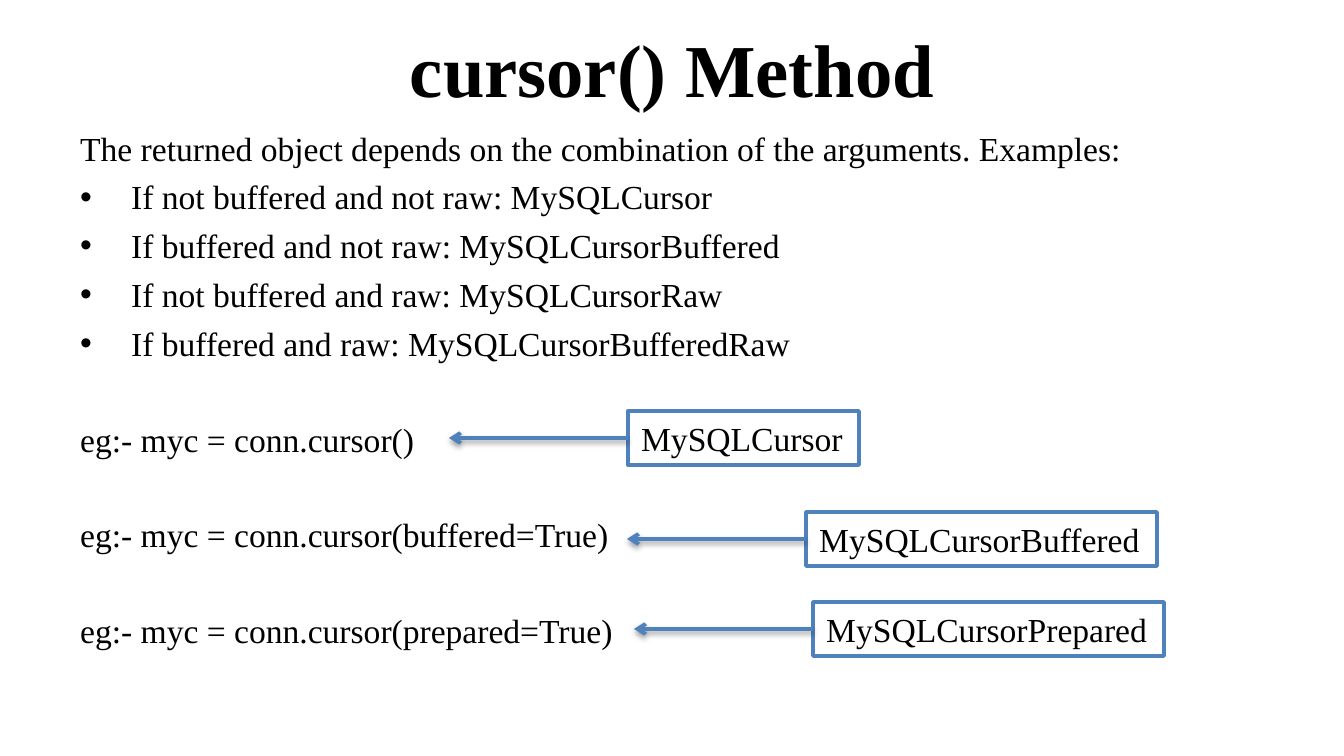
import pptx
import pptx.dml.color
import pptx.enum.shapes
import pptx.enum.text
import pptx.oxml
import pptx.oxml.ns
import pptx.util

BLACK = pptx.dml.color.RGBColor(0x00, 0x00, 0x00)
WHITE = pptx.dml.color.RGBColor(0xFF, 0xFF, 0xFF)
BLUE = pptx.dml.color.RGBColor(0x4F, 0x81, 0xBD)

EMU_PER_PX = 914400 / 134.4
TITLE_ONLY = 5
LEFT_SIDE = 1
ARROW_LENGTH = 179
BULLET_INDENT = 51
LINE_GAP = 4.5
EXAMPLE_GAP = 29.8

INTRODUCTION = "The returned object depends on the combination of the arguments. Examples:"
CASES = [
    "If not buffered and not raw: MySQLCursor",
    "If buffered and not raw: MySQLCursorBuffered",
    "If not buffered and raw: MySQLCursorRaw",
    "If buffered and raw: MySQLCursorBufferedRaw",
]
EXAMPLES = [
    "eg:- myc = conn.cursor()",
    "eg:- myc = conn.cursor(buffered=True)",
    "eg:- myc = conn.cursor(prepared=True)",
]
# Class name, left, top, width
CURSOR_CLASSES = [
    ("MySQLCursor", 628, 411, 231),
    ("MySQLCursorBuffered", 806, 512, 351),
    ("MySQLCursorPrepared", 813, 602, 351),
]


def px(length):
    return pptx.util.Emu(round(length * EMU_PER_PX))


def drawing_element(content):
    return pptx.oxml.parse_xml(content.replace(" ", f" {pptx.oxml.ns.nsdecls('a')} ", 1))


class SlideBuilder:
    font_name = "Times New Roman"
    text_size = 18
    title_size = 40
    line_width = 2

    def __init__(self, slide):
        self.slide = slide

    def format_font(self, paragraph, size, bold=False):
        font = paragraph.font
        font.name = self.font_name
        font.size = pptx.util.Pt(size)
        font.bold = bold
        font.color.rgb = BLACK

    def title(self, text, left, top, width, height):
        shape = self.slide.shapes.title
        shape.left, shape.top = px(left), px(top)
        shape.width, shape.height = px(width), px(height)
        frame = shape.text_frame
        frame.text = text
        frame.auto_size = pptx.enum.text.MSO_AUTO_SIZE.NONE
        frame.vertical_anchor = pptx.enum.text.MSO_ANCHOR.MIDDLE
        paragraph = frame.paragraphs[0]
        paragraph.alignment = pptx.enum.text.PP_ALIGN.CENTER
        self.format_font(paragraph, self.title_size, bold=True)

    def text_box(self, lines, left, top, width, height):
        """Write lines given as (text, points of space before, is bulleted)."""
        shape = self.slide.shapes.add_textbox(px(left), px(top), px(width), px(height))
        frame = shape.text_frame
        frame.word_wrap = True
        for index, (text, space_before, bulleted) in enumerate(lines):
            paragraph = frame.add_paragraph() if index else frame.paragraphs[0]
            paragraph.text = text
            paragraph.space_before = pptx.util.Pt(space_before)
            if bulleted:
                properties = paragraph._p.get_or_add_pPr()
                properties.set("marL", str(px(BULLET_INDENT)))
                properties.set("indent", str(-px(BULLET_INDENT)))
                properties.append(drawing_element('<a:buFont typeface="Arial"/>'))
                properties.append(drawing_element('<a:buChar char="•"/>'))
            self.format_font(paragraph, self.text_size)

    def label(self, text, left, top, width, height):
        shape = self.slide.shapes.add_shape(
            pptx.enum.shapes.MSO_SHAPE.RECTANGLE, px(left), px(top), px(width), px(height)
        )
        shape.shadow.inherit = False
        shape.fill.solid()
        shape.fill.fore_color.rgb = WHITE
        shape.line.color.rgb = BLUE
        shape.line.width = pptx.util.Pt(self.line_width)
        frame = shape.text_frame
        frame.text = text
        frame.word_wrap = False
        frame.auto_size = pptx.enum.text.MSO_AUTO_SIZE.SHAPE_TO_FIT_TEXT
        frame.vertical_anchor = pptx.enum.text.MSO_ANCHOR.TOP
        paragraph = frame.paragraphs[0]
        paragraph.alignment = pptx.enum.text.PP_ALIGN.LEFT
        self.format_font(paragraph, self.text_size)
        return shape

    def arrow_from(self, shape, length):
        """Point an arrow leftwards from the middle of the shape's left side."""
        middle = shape.top + shape.height // 2
        connector = self.slide.shapes.add_connector(
            pptx.enum.shapes.MSO_CONNECTOR.STRAIGHT,
            shape.left, middle, shape.left - px(length), middle,
        )
        connector.begin_connect(shape, LEFT_SIDE)
        connector.line.color.rgb = BLUE
        connector.line.width = pptx.util.Pt(self.line_width)
        properties = connector._element.spPr
        outline = properties.find(pptx.oxml.ns.qn("a:ln"))
        outline.append(drawing_element('<a:tailEnd type="arrow"/>'))
        blur, distance = pptx.util.Pt(3.1), pptx.util.Pt(1.6)
        properties.append(drawing_element(
            '<a:effectLst >'
            f'<a:outerShdw blurRad="{blur}" dist="{distance}" dir="5400000" rotWithShape="0">'
            '<a:srgbClr val="000000"><a:alpha val="38000"/></a:srgbClr>'
            '</a:outerShdw></a:effectLst>'
        ))


def main():
    presentation = pptx.Presentation()
    presentation.slide_width, presentation.slide_height = px(1344), px(756)
    slide = presentation.slides.add_slide(presentation.slide_layouts[TITLE_ONLY])
    builder = SlideBuilder(slide)

    builder.title("cursor() Method", 67, 5, 1210, 126)
    lines = [(INTRODUCTION, 0, False)]
    lines += [(case, LINE_GAP, True) for case in CASES]
    lines += [(example, EXAMPLE_GAP, False) for example in EXAMPLES]
    builder.text_box(lines, 67, 121, 1210, 594)

    for name, left, top, width in CURSOR_CLASSES:
        label = builder.label(name, left, top, width, 54)
        builder.arrow_from(label, ARROW_LENGTH)

    presentation.save("out.pptx")


if __name__ == "__main__":
    main()
